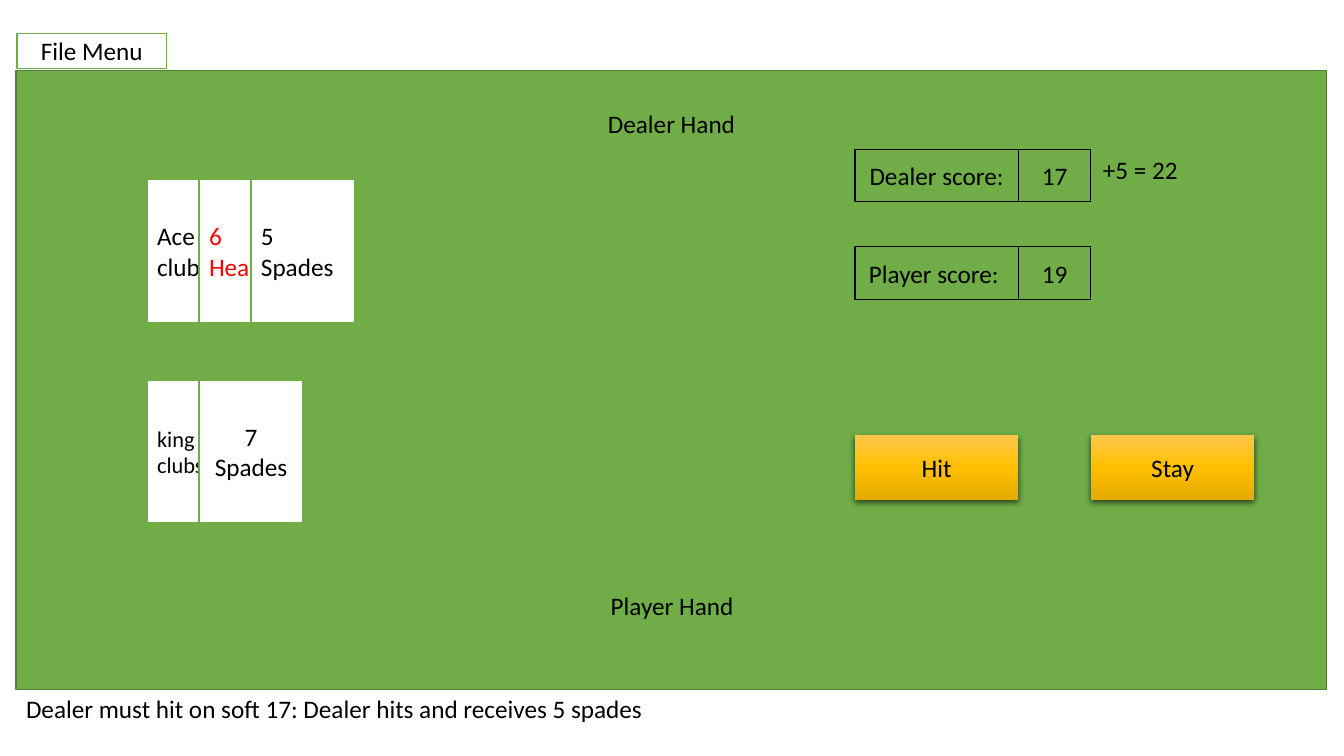
import copy

import lxml.etree
import pptx
import pptx.dml.color
import pptx.enum.shapes
import pptx.enum.text
import pptx.oxml.ns
import pptx.util

RGBColor = pptx.dml.color.RGBColor
ALIGN = pptx.enum.text.PP_ALIGN
ANCHOR = pptx.enum.text.MSO_ANCHOR

BLACK = RGBColor(0x00, 0x00, 0x00)
WHITE = RGBColor(0xFF, 0xFF, 0xFF)
RED = RGBColor(0xFF, 0x00, 0x00)
TABLE_GREEN = RGBColor(0x70, 0xAD, 0x47)
TABLE_EDGE = RGBColor(0x53, 0x80, 0x35)
BUTTON_STOPS = (
    (0, RGBColor(0xFF, 0xC6, 0x4B)),
    (0.5, RGBColor(0xFF, 0xC0, 0x00)),
    (1, RGBColor(0xE3, 0xAB, 0x00)),
)

FONT = "Calibri"
CELL = pptx.util.Inches(0.1)  # the grid has ten columns and ten rows to the inch

CARD_WIDTH, CARD_HEIGHT = 10.3, 14.2
CARD_STEP = CARD_WIDTH / 2
HAND_LEFT = 14.6
PANEL_LEFT = 84.8
LABEL_WIDTH, SCORE_WIDTH, SCORE_HEIGHT = 16.2, 7.2, 5.2
BUTTON_TOP, BUTTON_HEIGHT = 43.2, 6.4


def grid(*cells):
    """Turn columns and rows of the grid into slide lengths."""
    return [round(cell * CELL) for cell in cells]


def write_text(shape, *lines, size=18, color=BLACK, align=ALIGN.CENTER,
               anchor=ANCHOR.MIDDLE):
    """Write each line as one formatted paragraph of the shape."""
    frame = shape.text_frame
    frame.word_wrap = True
    frame.vertical_anchor = anchor
    frame.text = "\n".join(lines)
    for paragraph in frame.paragraphs:
        paragraph.alignment = align
        font = paragraph.runs[0].font
        font.name = FONT
        font.size = pptx.util.Pt(size)
        font.color.rgb = color


def add_box(slide, area, fill=None, line=None, line_width=1):
    """Add a rectangle without shadow; no colour means no fill or no line."""
    shape = slide.shapes.add_shape(
        pptx.enum.shapes.MSO_SHAPE.RECTANGLE, *grid(*area))
    shape.shadow.inherit = False
    if fill is None:
        shape.fill.background()
    else:
        shape.fill.solid()
        shape.fill.fore_color.rgb = fill
    if line is None:
        shape.line.fill.background()
    else:
        shape.line.color.rgb = line
        shape.line.width = pptx.util.Pt(line_width)
    return shape


def add_label(slide, area, text, **text_format):
    """Add a text box with one line of text."""
    label = slide.shapes.add_textbox(*grid(*area))
    write_text(label, text, **text_format)


def add_hand(slide, top, cards):
    """Lay overlapping cards from left to right."""
    for index, (lines, text_format) in enumerate(cards):
        left = HAND_LEFT + index * CARD_STEP
        card = add_box(slide, (left, top, CARD_WIDTH, CARD_HEIGHT),
                       WHITE, TABLE_GREEN)
        write_text(card, *lines, **{"align": ALIGN.LEFT, **text_format})


def add_score(slide, top, name, score):
    """Add a framed score name with its value in a frame beside it."""
    for left, width, text in ((PANEL_LEFT, LABEL_WIDTH, name),
                              (PANEL_LEFT + LABEL_WIDTH, SCORE_WIDTH, score)):
        frame = add_box(slide, (left, top, width, SCORE_HEIGHT),
                        line=BLACK, line_width=0.75)
        write_text(frame, text)


def add_drop_shadow(shape):
    """Give the shape a soft black shadow straight below it."""
    qn = pptx.oxml.ns.qn
    effects = shape.element.spPr.find(qn("a:effectLst"))
    shadow = lxml.etree.SubElement(
        effects, qn("a:outerShdw"), blurRad=str(pptx.util.Pt(4.5)),
        dist=str(pptx.util.Pt(1.5)), dir="5400000", algn="ctr",
        rotWithShape="0")
    color = lxml.etree.SubElement(shadow, qn("a:srgbClr"), val=str(BLACK))
    lxml.etree.SubElement(color, qn("a:alpha"), val="63000")


def add_button(slide, left, text):
    """Add a golden gradient button with a drop shadow."""
    button = add_box(slide, (left, BUTTON_TOP, LABEL_WIDTH, BUTTON_HEIGHT))
    button.fill.gradient()
    button.fill.gradient_angle = 270
    stop_list = button.element.spPr.find(".//" + pptx.oxml.ns.qn("a:gsLst"))
    stop_list.insert(1, copy.deepcopy(stop_list[0]))
    for stop, (position, color) in zip(button.fill.gradient_stops, BUTTON_STOPS):
        stop.position = position
        stop.color.rgb = color
    add_drop_shadow(button)
    write_text(button, text)


def main():
    """Build the card game screen and save it."""
    presentation = pptx.Presentation()
    presentation.slide_width = pptx.util.Inches(13.33)
    presentation.slide_height = pptx.util.Inches(7.5)
    slide = presentation.slides.add_slide(presentation.slide_layouts[6])

    add_box(slide, (1.6, 7, 130, 61.4), TABLE_GREEN, TABLE_EDGE)
    menu = add_box(slide, (1.7, 3.3, 14.8, 3.5), WHITE, TABLE_GREEN)
    write_text(menu, "File Menu")

    add_label(slide, (58.4, 9.6, 16.4, 5.2), "Dealer Hand")
    add_hand(slide, 17.8, [
        (("Ace", "club"), {}),
        (("6", "Hearts"), {"color": RED}),
        (("5", "Spades"), {}),
    ])
    add_hand(slide, 37.7, [
        (("king", "clubs"), {"size": 16}),
        (("7", "Spades"), {"align": ALIGN.CENTER}),
    ])
    add_label(slide, (58.4, 57.5, 16.5, 5.2), "Player Hand")

    add_score(slide, 14.8, "Dealer score:", "17")
    add_score(slide, 24.5, "Player score: ", "19")
    note_format = {"align": ALIGN.LEFT, "anchor": ANCHOR.TOP}
    add_label(slide, (108.4, 14.8, 11.4, 4), "+5 = 22", **note_format)

    add_button(slide, PANEL_LEFT, "Hit")
    add_button(slide, PANEL_LEFT + LABEL_WIDTH + SCORE_WIDTH, "Stay")
    add_label(slide, (1.6, 68.3, 130, 4),
              "Dealer must hit on soft 17: Dealer hits and receives 5 spades",
              **note_format)

    presentation.save("out.pptx")


main()
